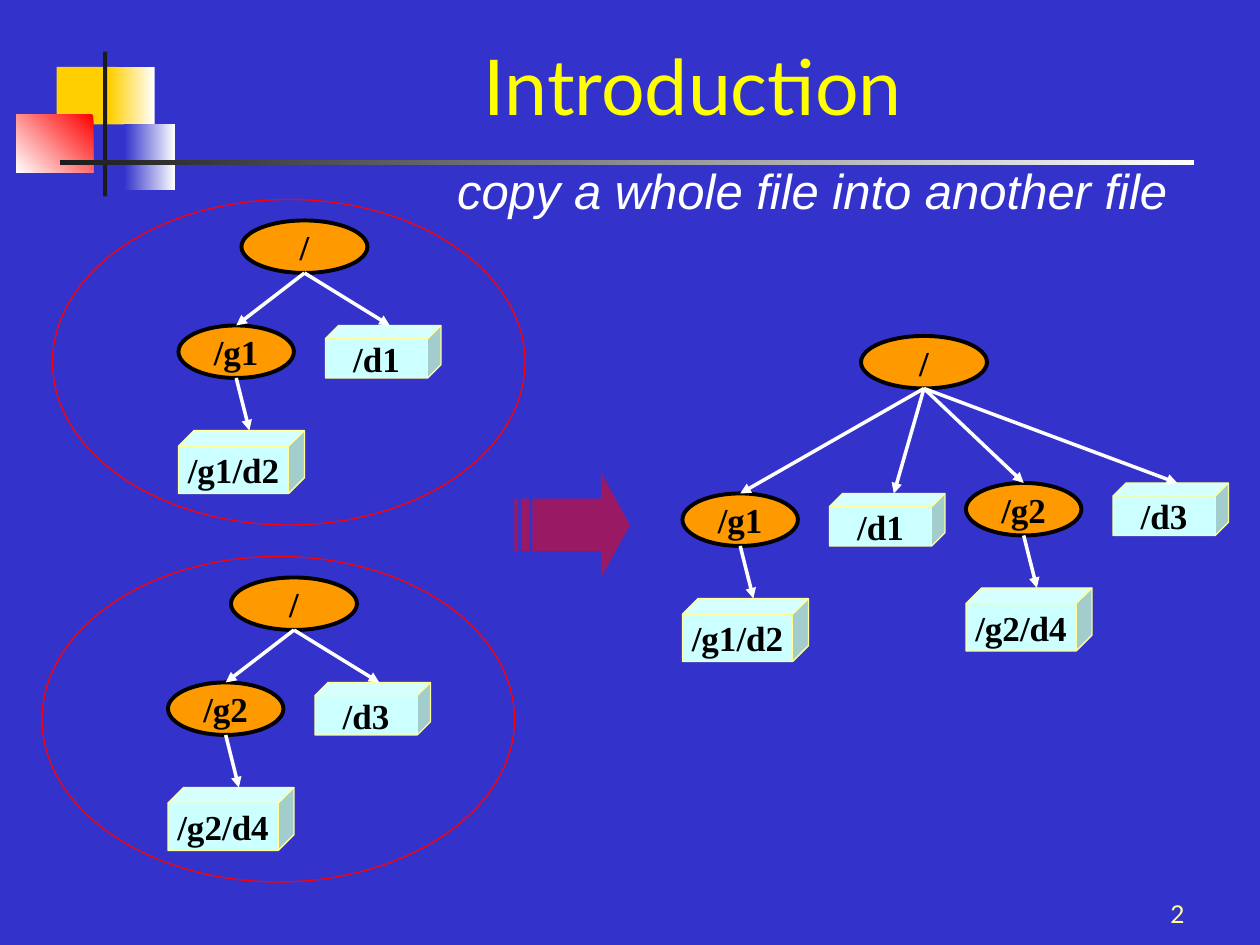
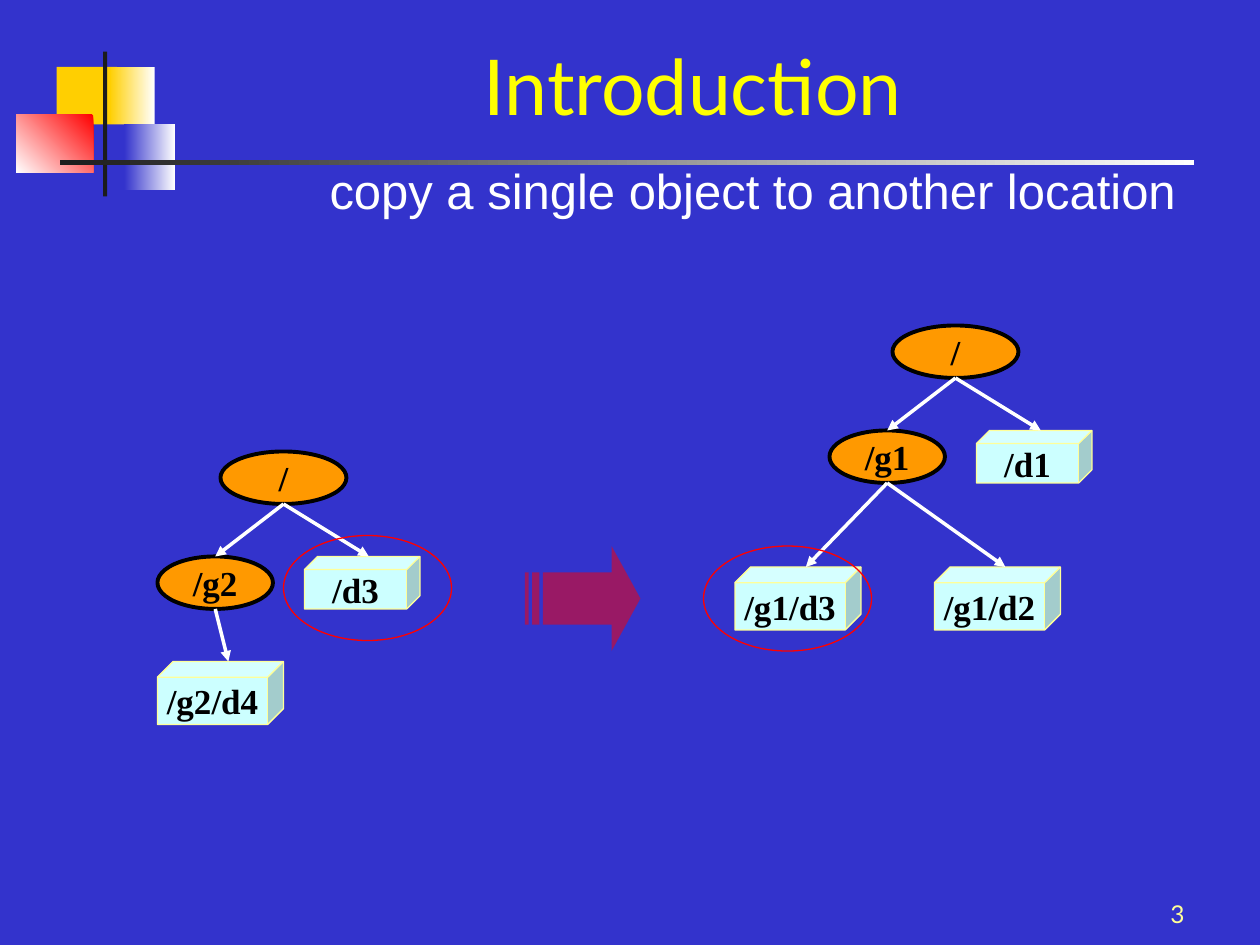
from dataclasses import dataclass

from lxml import etree
from pptx import Presentation
from pptx.dml.color import RGBColor
from pptx.enum.shapes import MSO_CONNECTOR, MSO_SHAPE
from pptx.enum.text import MSO_ANCHOR, MSO_AUTO_SIZE, PP_ALIGN
from pptx.oxml.ns import qn
from pptx.util import Cm, Pt


@dataclass(frozen=True)
class Theme:
    background: str = "3333CC"
    gold: str = "FFCF01"
    red: str = "FF0000"
    white: str = "FFFFFF"
    black: str = "000000"
    charcoal: str = "1C1C1C"
    title: str = "FFFF00"
    group: str = "FF9900"
    dataset: str = "CCFFFF"
    pale_yellow: str = "FFFF99"
    title_font: str = "Lato"
    subtitle_font: str = "Arial"
    node_font: str = "Times New Roman"
    title_size: int = 44
    subtitle_size: int = 28
    node_size: int = 20
    page_size: int = 14


T = Theme()


def grid(*cells):
    """Lengths of the given numbers of grid cells, twelve to 2.54 cm."""
    return [Cm(2.54 * n / 12) for n in cells]


def rgb(colour):
    return RGBColor.from_string(colour)


def set_all(target, **values):
    for name, value in values.items():
        setattr(target, name, value)


def write(p, text, font, size, colour, align, **style):
    p.alignment = align
    r = p.add_run()
    r.text = text
    set_all(r.font, name=font, size=Pt(size), **style)
    r.font.color.rgb = rgb(colour)


def add_shape(s, kind, box, fill=None, line=None, width=0.75):
    sp = s.shapes.add_shape(kind, *box)
    sp.shadow.inherit = False
    if fill:
        sp.fill.solid()
        sp.fill.fore_color.rgb = rgb(fill)
    else:
        sp.fill.background()
    if line:
        sp.line.color.rgb = rgb(line)
        sp.line.width = Pt(width)
    else:
        sp.line.fill.background()
    return sp


def set_gradient(sp, start, end, angle):
    sp.fill.gradient()
    sp.fill.gradient_angle = angle
    for stop, colour in zip(sp.fill.gradient_stops, (start, end)):
        stop.color.rgb = rgb(colour)


def decorate_layout(layout, s):
    """Draw the corner blocks on s and hand them over to its layout."""
    layout.background.fill.solid()
    layout.background.fill.fore_color.rgb = rgb(T.background)
    title = layout.placeholders[0]
    title.left, title.top, title.width, title.height = grid(17, 7, 98, 15)
    blocks = [
        ((1.14, 1.35, 1.22, 1.32), T.gold, None),
        ((2.21, 1.35, 0.91, 1.32), T.white, (T.gold, 180)),
        ((1.47, 2.51, 1.17, 1.32), T.background, None),
        ((2.51, 2.51, 1.02, 1.32), T.white, (T.background, 180)),
        ((0.33, 2.31, 1.55, 1.17), T.red, (T.white, 225)),
        ((2.08, 1.04, 0.08, 2.92), T.charcoal, None),
        ((1.22, 3.23, 22.86, 0.1), T.white, (T.charcoal, 180)),
    ]
    for box, fill, gradient in blocks:
        sp = add_shape(s, MSO_SHAPE.RECTANGLE, [Cm(n) for n in box], fill)
        if gradient:
            set_gradient(sp, fill, *gradient)
        layout.shapes.element.append(sp.element)


def add_title(s, subtitle, indent, italic):
    tf = s.shapes.title.text_frame
    set_all(tf, vertical_anchor=MSO_ANCHOR.BOTTOM, word_wrap=True,
            auto_size=MSO_AUTO_SIZE.NONE, margin_bottom=Cm(0.23))
    write(tf.paragraphs[0], "Introduction", T.title_font, T.title_size,
          T.title, PP_ALIGN.CENTER)
    p = tf.add_paragraph()
    p.space_before = Pt(17)
    write(p, subtitle, T.subtitle_font, T.subtitle_size, T.white,
          PP_ALIGN.CENTER, italic=italic)
    p._p.get_or_add_pPr().set("marL", str(Cm(indent)))


def add_page_number(s, number):
    tf = s.shapes.add_textbox(*grid(89, 83, 25, 6)).text_frame
    set_all(tf, word_wrap=True, vertical_anchor=MSO_ANCHOR.BOTTOM)
    write(tf.paragraphs[0], str(number), T.title_font, T.page_size,
          T.pale_yellow, PP_ALIGN.RIGHT)


def add_node(s, name, x, y):
    """Ellipse for a group, cube for a dataset; returns its top and bottom points."""
    is_dataset = name.rpartition("/")[2].startswith("d")
    nested = name.count("/") > 1
    w = 12 if nested or name == "/" else 11
    h = 6 if nested else 5
    box = grid(x, y, w, h)
    if is_dataset:
        sp = add_shape(s, MSO_SHAPE.CUBE, box, T.dataset, T.pale_yellow)
        set_all(sp.text_frame, margin_left=0, margin_right=0)
    else:
        sp = add_shape(s, MSO_SHAPE.OVAL, box, T.group, T.black, 2.25)
    tf = sp.text_frame
    set_all(tf, word_wrap=False, vertical_anchor=MSO_ANCHOR.MIDDLE)
    write(tf.paragraphs[0], name, T.node_font, T.node_size, T.black,
          PP_ALIGN.CENTER, bold=True)
    top_shift = h / 8 if is_dataset else 0
    return (x + w / 2 + top_shift, y), (x + w / 2, y + h)


def add_link(s, start, end):
    line = s.shapes.add_connector(MSO_CONNECTOR.STRAIGHT, *grid(*start, *end))
    line.line.color.rgb = rgb(T.white)
    line.line.width = Pt(2)
    etree.SubElement(line.line._get_or_add_ln(), qn("a:tailEnd"), type="triangle")
    etree.SubElement(line.element.spPr, qn("a:effectLst"))


def add_tree(s, left, top, nodes):
    """Place nodes, given as name: offset, and link each to the parent in its name."""
    ends = {name: add_node(s, name, left + dx, top + dy)
            for name, (dx, dy) in nodes.items()}
    for name in nodes:
        if name != "/":
            parent = name.rpartition("/")[0] or "/"
            add_link(s, ends[parent][1], ends[name][0])


def branch(group, dataset, leaf=None, dx=0, dy=10):
    """Offsets of a group, the dataset beside it and the leaf below it."""
    nodes = {group: (dx, dy), dataset: (dx + 14, dy)}
    if leaf:
        nodes[leaf] = (dx, dy + 10)
    return nodes


def add_ring(s, *box):
    add_shape(s, MSO_SHAPE.OVAL, grid(*box), line=T.red)


def add_striped_arrow(s, left, top):
    x, y, w, h = grid(left, top, 11, 10)
    fb = s.shapes.build_freeform(5, 1, scale=(w / 32, h / 4))
    fb.add_line_segments([(24, 1), (24, 0), (32, 2), (24, 4), (24, 3), (5, 3)])
    for x1, x2 in ((0, 1), (2, 4)):
        fb.move_to(x1, 1)
        fb.add_line_segments([(x2, 1), (x2, 3), (x1, 3)])
    sp = fb.convert_to_shape(x, y)
    sp.shadow.inherit = False
    sp.line.fill.background()
    sp.fill.solid()
    sp.fill.fore_color.rgb = rgb(T.red)
    colour = sp.element.spPr.find(".//" + qn("a:srgbClr"))
    etree.SubElement(colour, qn("a:alpha"), val="50000")


def copy_file_slide(s):
    add_title(s, "copy a whole file into another file", 4.8, True)
    sources = [(17, 21, ("/g1", "/d1", "/g1/d2")),
               (16, 55, ("/g2", "/d3", "/g2/d4"))]
    for left, top, names in sources:
        add_tree(s, left, top, {"/": (6, 0), **branch(*names)})
        add_ring(s, left - 12, top - 2, 45, 31)
    add_tree(s, 65, 32, {"/": (17, 0),
                         **branch("/g1", "/d1", "/g1/d2", 0, 15),
                         **branch("/g2", "/d3", "/g2/d4", 27, 14)})
    add_striped_arrow(s, 49, 45)
    add_page_number(s, 2)


def copy_object_slide(s):
    add_title(s, "copy a single object to another location", 2.4, False)
    add_tree(s, 79, 31, {"/": (6, 0), **branch("/g1", "/d1"),
                         "/g1/d2": (10, 23), "/g1/d3": (-9, 23)})
    add_tree(s, 15, 43, {"/": (6, 0), **branch("/g2", "/d3", "/g2/d4")})
    add_striped_arrow(s, 50, 52)
    for left, top in ((27, 51), (67, 52)):
        add_ring(s, left, top, 16, 10)
    add_page_number(s, 3)


def main():
    prs = Presentation()
    prs.slide_width, prs.slide_height = Cm(25.4), Cm(19.05)
    layout = prs.slide_layouts.get_by_name("Title Only")
    slides = [prs.slides.add_slide(layout) for _ in range(2)]
    decorate_layout(layout, slides[0])
    for build, s in zip((copy_file_slide, copy_object_slide), slides):
        build(s)
    prs.save("out.pptx")


if __name__ == "__main__":
    main()
